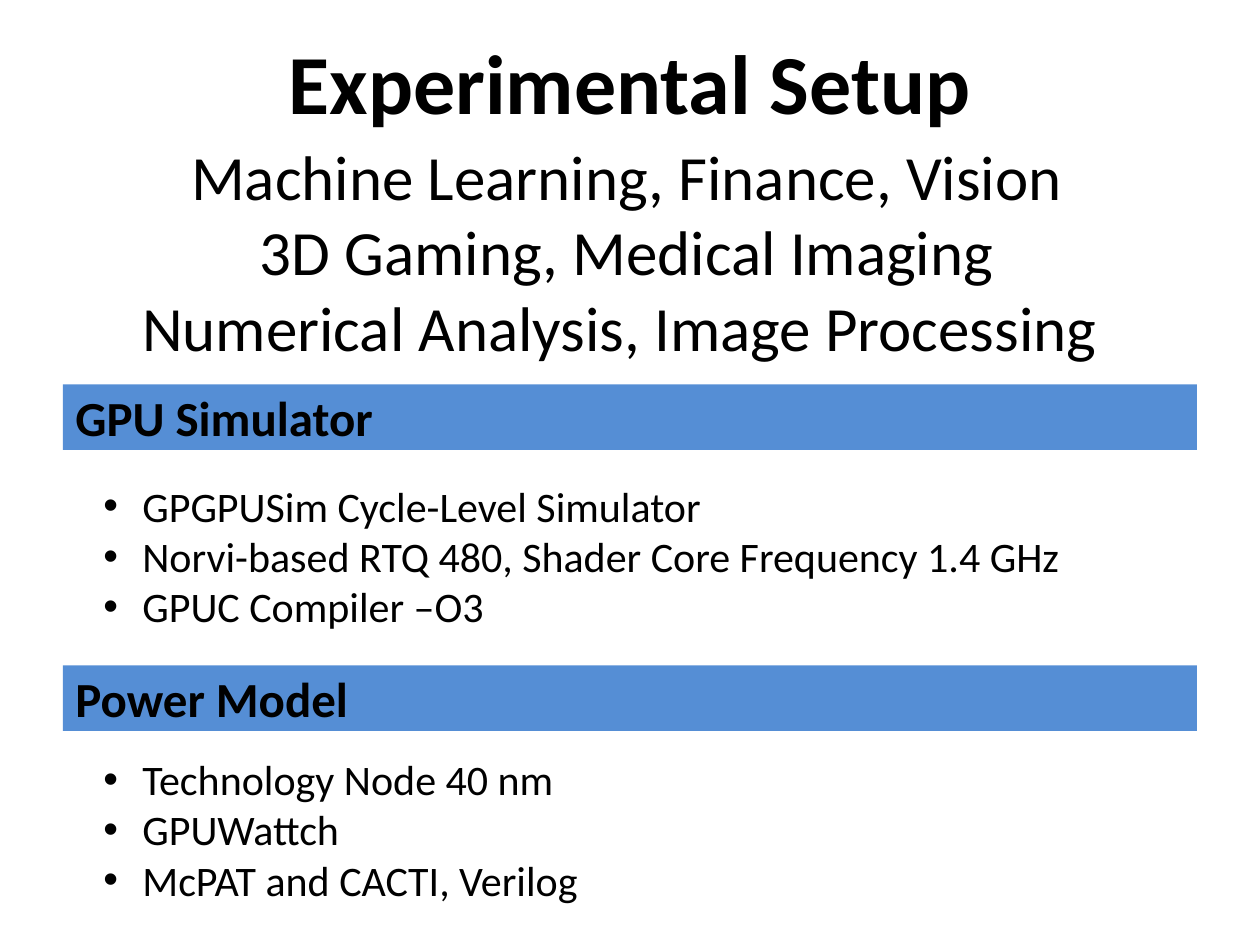
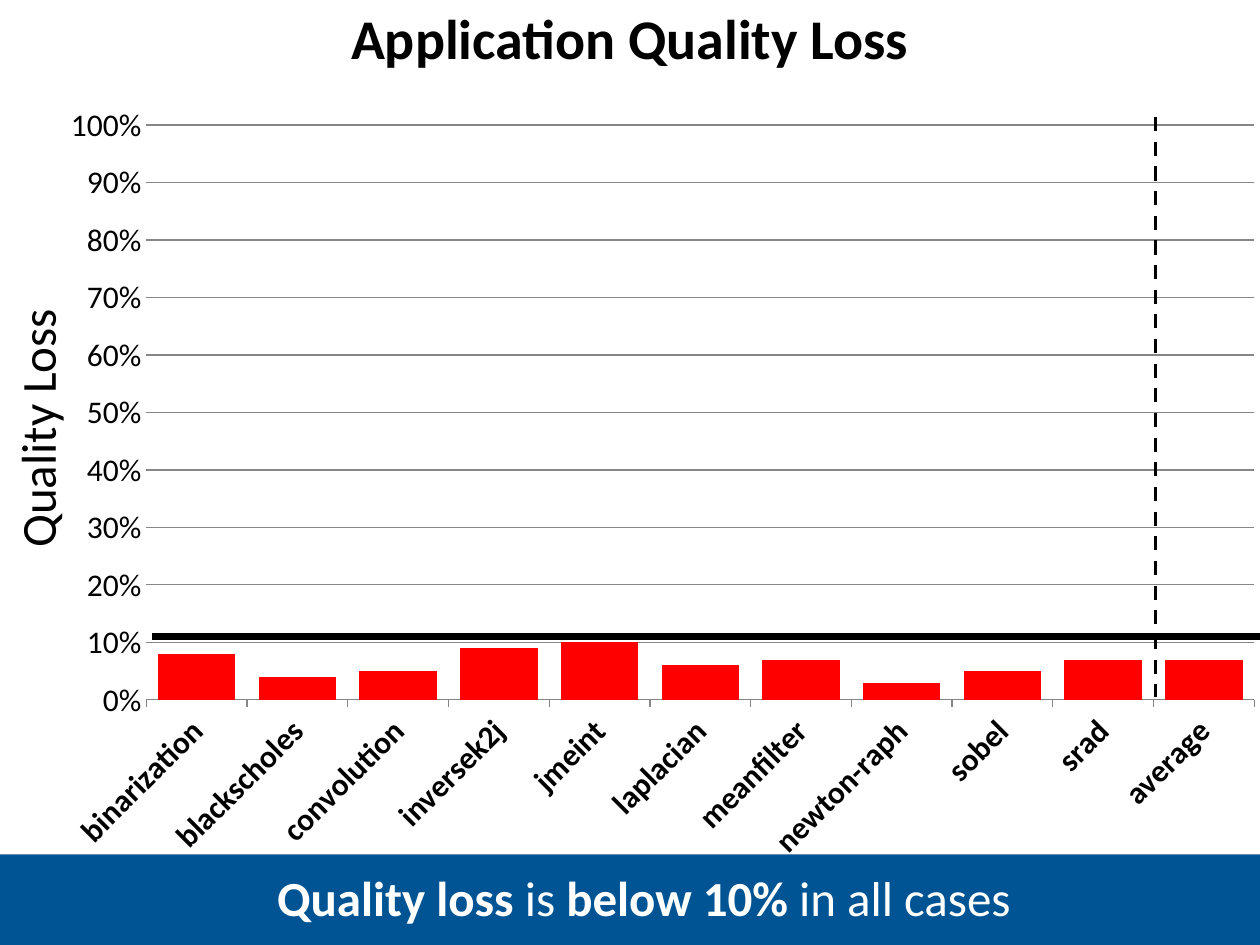
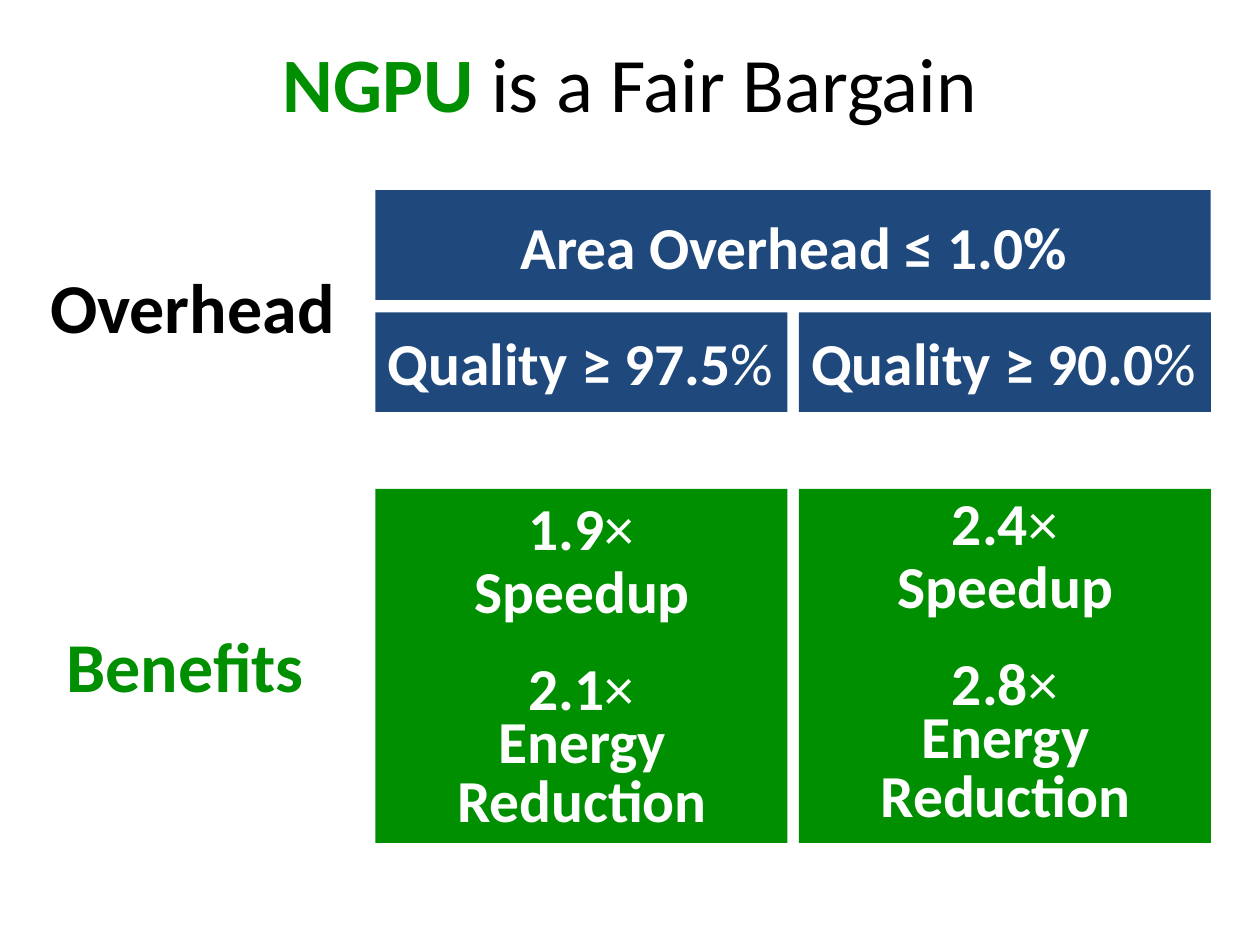
"""Build three slides on the NGPU experimental setup, quality loss and trade-offs."""
from dataclasses import dataclass
from typing import Any

from lxml import etree
from pptx import Presentation
from pptx.chart.data import CategoryChartData
from pptx.dml.color import RGBColor
from pptx.enum.chart import XL_CHART_TYPE, XL_TICK_MARK
from pptx.enum.dml import MSO_LINE
from pptx.enum.shapes import MSO_CONNECTOR, MSO_SHAPE
from pptx.enum.text import MSO_ANCHOR, MSO_AUTO_SIZE, PP_ALIGN
from pptx.oxml.ns import qn
from pptx.util import Inches, Pt

FONT = "Calibri"
BLACK, WHITE, GRID = "000000", "FFFFFF", "868686"
SECTION, BANNER, NAVY = "558ED5", "005493", "1F497D"
GREEN, RED = "008F00", "FF0000"
LEFT, CENTER = PP_ALIGN.LEFT, PP_ALIGN.CENTER
TOP, MIDDLE = MSO_ANCHOR.TOP, MSO_ANCHOR.MIDDLE
FIXED, GROW = MSO_AUTO_SIZE.NONE, MSO_AUTO_SIZE.SHAPE_TO_FIT_TEXT
COLUMN, DASH = XL_CHART_TYPE.COLUMN_CLUSTERED, MSO_LINE.DASH
OUTSIDE, NO_TICK = XL_TICK_MARK.OUTSIDE, XL_TICK_MARK.NONE
STRAIGHT, RECTANGLE = MSO_CONNECTOR.STRAIGHT, MSO_SHAPE.RECTANGLE
TWO_CONTENT, TITLE_AND_CONTENT, TITLE_ONLY = 3, 1, 5


@dataclass(frozen=True)
class Box:
    left: float
    top: float
    width: float
    height: float

    def lengths(self) -> tuple:
        return tuple(Inches(v) for v in (self.left, self.top, self.width, self.height))


@dataclass(frozen=True)
class Run:
    text: str
    bold: bool = False
    color: str = ""


@dataclass(frozen=True)
class Style:
    size: float
    color: str = BLACK
    align: Any = LEFT
    anchor: Any = TOP
    fit: Any = FIXED
    wrap: bool = True
    spacing: float = 0


@dataclass(frozen=True)
class Section:
    heading: str
    bar_top: float
    items: tuple
    list_box: Box


@dataclass(frozen=True)
class Option:
    left: float
    text_top: float
    quality: str
    speedup: str
    energy: str


TITLE_BOX = Box(0.5, 0.02, 9, 1.25)
SECTIONS = (
    Section("GPU Simulator", 3.05,
            ("GPGPUSim Cycle-Level Simulator",
             "Norvi-based RTQ 480, Shader Core Frequency 1.4 GHz",
             "GPUC Compiler –O3"), Box(0.72, 3.76, 7.82, 1.31)),
    Section("Power Model", 5.28,
            ("Technology Node 40 nm", "GPUWattch", "McPAT and CACTI, Verilog"),
            Box(0.72, 5.93, 5.92, 1.31)),
)
QUALITY_LOSS = {
    "binarization": 0.08, "blackscholes": 0.04, "convolution": 0.05,
    "inversek2j": 0.09, "jmeint": 0.1, "laplacian": 0.06, "meanfilter": 0.07,
    "newton-raph": 0.03, "sobel": 0.05, "srad": 0.07, "average": 0.07,
}
PLOT_LAYOUT = {"layoutTarget": "inner", "xMode": "edge", "yMode": "edge",
               "x": 0.08, "y": 0.05, "w": 0.9, "h": 0.73}
OPTIONS = (
    Option(2.98, 3.85, "97.5", "1.9", "2.1"),
    Option(6.34, 3.81, "90.0", "2.4", "2.8"),
)


def rgb(value: str) -> RGBColor:
    """Turn a hex string into a colour."""
    return RGBColor.from_string(value)


def apply(target: Any, values: dict) -> None:
    """Set each named attribute on the target."""
    for name, value in values.items():
        setattr(target, name, value)


def set_font(font: Any, size: float, color: str, bold: bool = False) -> None:
    """Give a font the deck's typeface with a size, colour and weight."""
    apply(font, {"name": FONT, "size": Pt(size), "bold": bold})
    font.color.rgb = rgb(color)


def write(sp: Any, paragraphs: list, style: Style) -> None:
    """Fill a shape with paragraphs of runs in one style."""
    tf = sp.text_frame
    apply(tf, {"word_wrap": style.wrap, "auto_size": style.fit,
               "vertical_anchor": style.anchor})
    for i, runs in enumerate(paragraphs):
        p = tf.add_paragraph() if i else tf.paragraphs[0]
        p.alignment = style.align
        if style.spacing:
            p.line_spacing = Pt(style.spacing)
        for run in runs:
            for n, line in enumerate(run.text.split("\n")):
                if n:
                    p.add_line_break()
                r = p.add_run()
                r.text = line
                set_font(r.font, style.size, run.color or style.color, run.bold)


def place(sp: Any, box: Box) -> None:
    """Move a placeholder to a box and in front of the shapes drawn so far."""
    apply(sp, dict(zip(("left", "top", "width", "height"), box.lengths())))
    sp.element.getparent().append(sp.element)


def add_title(s: Any, runs: list, size: float, box: Box = TITLE_BOX) -> None:
    """Format the title placeholder."""
    place(s.shapes.title, box)
    write(s.shapes.title, [runs], Style(size, align=CENTER, anchor=MIDDLE))


def add_text(s: Any, box: Box, runs: list, style: Style) -> Any:
    """Add a text box with one paragraph."""
    sp = s.shapes.add_textbox(*box.lengths())
    write(sp, [runs], style)
    return sp


def add_block(s: Any, box: Box, color: str) -> Any:
    """Add a flat rectangle."""
    sp = s.shapes.add_shape(RECTANGLE, *box.lengths())
    sp.shadow.inherit = False
    sp.fill.solid()
    sp.fill.fore_color.rgb = rgb(color)
    sp.line.fill.background()
    return sp


def add_rule(s: Any, start: tuple, end: tuple, width: float, dash: Any = None) -> None:
    """Add a straight black line."""
    line = s.shapes.add_connector(STRAIGHT, *(Inches(v) for v in start + end))
    line.line.color.rgb = rgb(BLACK)
    apply(line.line, {"width": Pt(width), "dash_style": dash})
    etree.SubElement(line.element.spPr, qn("a:effectLst"))


def set_indent(p: Any, left: float, first: float) -> Any:
    """Set a paragraph's left and first-line indents."""
    ppr = p._p.get_or_add_pPr()
    ppr.set("marL", str(Inches(left)))
    ppr.set("indent", str(Inches(first)))
    return ppr


def add_loss_chart(s: Any) -> None:
    """Add the column chart of quality loss by application."""
    data = CategoryChartData(number_format="0%")
    data.categories = list(QUALITY_LOSS)
    data.add_series("Series 1", list(QUALITY_LOSS.values()))
    box = Box(0.38, 0.68, 9.77, 6.25)
    chart = s.shapes.add_chart(COLUMN, *box.lengths(), data).chart
    apply(chart, {"has_legend": False, "has_title": False})
    set_font(chart.font, 10, BLACK)

    plot = chart.plots[0]
    apply(plot, {"gap_width": 30, "vary_by_categories": False})
    fill = plot.series[0].format.fill
    fill.solid()
    fill.fore_color.rgb = rgb(RED)

    cats, vals = chart.category_axis, chart.value_axis
    apply(cats, {"major_tick_mark": OUTSIDE, "has_major_gridlines": False})
    apply(vals, {"minimum_scale": 0, "maximum_scale": 1, "major_unit": 0.1,
                 "major_tick_mark": NO_TICK, "has_major_gridlines": True})
    apply(vals.tick_labels, {"number_format": "0%", "number_format_is_linked": False})
    set_font(cats.tick_labels.font, 18, BLACK, True)
    set_font(vals.tick_labels.font, 18, BLACK)
    cats._element.find(qn("c:txPr")).find(qn("a:bodyPr")).set("rot", "-2700000")
    vals.format.line.fill.background()
    for line in (cats.format.line, vals.major_gridlines.format.line):
        line.color.rgb = rgb(GRID)
        line.width = Pt(0.75)

    area = chart._chartSpace.chart.plotArea
    for old in area.findall(qn("c:layout")):
        area.remove(old)
    layout = etree.Element(qn("c:layout"))
    manual = etree.SubElement(layout, qn("c:manualLayout"))
    for name, value in PLOT_LAYOUT.items():
        etree.SubElement(manual, qn(f"c:{name}")).set("val", str(value))
    area.insert(0, layout)


def build_setup(prs: Any) -> None:
    """Build the experimental setup slide."""
    s = prs.slides.add_slide(prs.slide_layouts[TWO_CONTENT])
    add_title(s, [Run("Experimental Setup", True)], 48)
    for idx, section in enumerate(SECTIONS, 1):
        bar = add_block(s, Box(0.5, section.bar_top, 9, 0.52), SECTION)
        write(bar, [[Run(section.heading, True)]], Style(28, anchor=MIDDLE))
        body = s.placeholders[idx]
        place(body, section.list_box)
        write(body, [[Run(item)] for item in section.items], Style(24))
        for p in body.text_frame.paragraphs:
            p.space_before = Pt(0)
            set_indent(p, 0.31, -0.31)
    domains = ("Machine Learning, Finance, Vision\n3D Gaming, Medical Imaging\n"
               "Numerical Analysis, Image Processing ")
    add_text(s, Box(0.21, 1.04, 9.53, 1.92), [Run(domains)],
             Style(36, align=CENTER, fit=GROW))


def build_loss(prs: Any) -> None:
    """Build the quality loss slide."""
    s = prs.slides.add_slide(prs.slide_layouts[TITLE_AND_CONTENT])
    add_loss_chart(s)
    add_block(s, Box(-0.16, 6.78, 10.4, 0.72), BANNER)
    body = s.placeholders[1]
    place(body, Box(1.9, 6.89, 6.2, 0.56))
    write(body, [[Run("Quality loss ", True), Run("is "), Run("below 10% ", True),
                  Run("in all cases")]], Style(28, WHITE, spacing=30.6))
    apply(body.text_frame, {"margin_left": Inches(0.3), "margin_right": 0,
                            "margin_top": Inches(0.04), "margin_bottom": Inches(0.04)})
    ppr = set_indent(body.text_frame.paragraphs[0], 0, 0)
    etree.SubElement(ppr, qn("a:buNone"))
    label = add_text(s, Box(-0.77, 3.1, 2.12, 0.57), [Run("Quality Loss")],
                     Style(28, fit=GROW, wrap=False))
    label.rotation = 270
    add_rule(s, (9.17, 0.93), (9.17, 5.53), 2, DASH)
    add_rule(s, (1.21, 5.05), (10, 5.05), 4)
    add_title(s, [Run("Application Quality Loss", True)], 32, Box(2.39, -0.28, 5.22, 1.15))
    s.shapes.title.fill.solid()
    s.shapes.title.fill.fore_color.rgb = rgb(WHITE)


def add_option(s: Any, option: Option) -> None:
    """Draw one column with its quality and its benefits."""
    x, y = option.left, option.text_top
    figure = Style(34, WHITE, CENTER, fit=GROW, wrap=False)
    caption = Style(34, WHITE, CENTER, fit=GROW)
    tight = Style(34, WHITE, CENTER, fit=GROW, spacing=34)
    add_block(s, Box(x, 2.48, 3.27, 0.79), NAVY)
    add_text(s, Box(x, 2.54, 3.29, 0.67),
             [Run(f"Quality ≥ {option.quality}", True), Run("%")],
             Style(34, WHITE, fit=GROW, wrap=False))
    add_block(s, Box(x, 3.88, 3.27, 2.81), GREEN)
    for value, dy in ((option.speedup, 0), (option.energy, 1.27)):
        add_text(s, Box(x + 1.11, y + dy, 1.05, 0.67), [Run(value, True), Run("×")], figure)
    add_text(s, Box(x + 0.45, y + 0.5, 2.38, 0.67), [Run("Speedup", True)], caption)
    add_text(s, Box(x + 0.25, y + 1.78, 2.78, 1.05), [Run("Energy\nReduction", True)], tight)


def build_bargain(prs: Any) -> None:
    """Build the overhead and benefits slide."""
    s = prs.slides.add_slide(prs.slide_layouts[TITLE_ONLY])
    add_title(s, [Run("NGPU ", True, GREEN), Run("is a Fair Bargain")], 44)
    for option in OPTIONS:
        add_option(s, option)
    add_block(s, Box(2.98, 1.51, 6.63, 0.87), NAVY)
    labels = (
        ("Area Overhead ≤ 1.0%", Box(4.03, 1.62, 4.7, 0.67), 34, WHITE),
        ("Overhead", Box(0.3, 2.04, 2.48, 0.77), 40, BLACK),
        ("Benefits", Box(0.43, 4.89, 2.11, 0.77), 40, GREEN),
    )
    for text, box, size, color in labels:
        add_text(s, box, [Run(text, True)], Style(size, color, fit=GROW, wrap=False))


def main() -> None:
    """Build and save the deck."""
    prs = Presentation()
    apply(prs, {"slide_width": Inches(10), "slide_height": Inches(7.5)})
    for build in (build_setup, build_loss, build_bargain):
        build(prs)
    prs.save("out.pptx")


if __name__ == "__main__":
    main()
